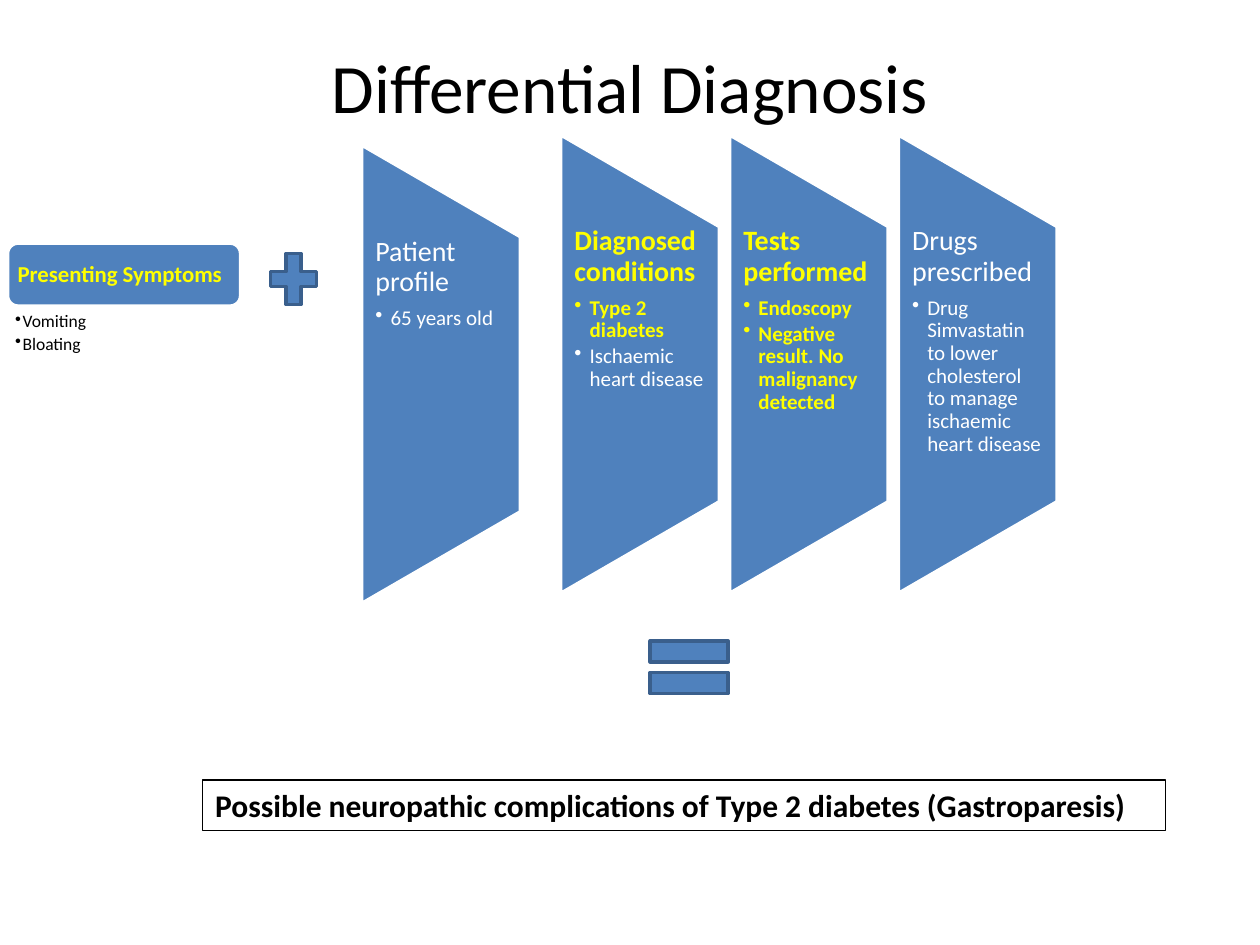
"""Build the differential diagnosis slide."""
from lxml import etree
from pptx import Presentation
from pptx import util as u
from pptx.dml.color import RGBColor
from pptx.enum import shapes, text
from pptx.oxml import ns

BLUE = RGBColor(0x4F, 0x81, 0xBD)
NAVY = RGBColor(0x3A, 0x5F, 0x8C)
GOLD = RGBColor(0xFF, 0xFF, 0x00)
WHITE = RGBColor(0xFF, 0xFF, 0xFF)
BLACK = RGBColor(0, 0, 0)

HOT = {"bold": True, "color": GOLD}
COOL = {"bold": False, "color": WHITE}
DARK = {"bold": False, "color": BLACK}
PANELS = [
    (2.87, 2.97, [("Patient profile", COOL), ("65 years old", COOL)]),
    (4.45, 2.89, [("Diagnosed conditions", HOT), ("Type 2 diabetes", HOT),
                  ("Ischaemic heart disease", COOL)]),
    (5.79, 2.89, [("Tests performed", HOT), ("Endoscopy", HOT),
                  ("Negative result. No malignancy detected", HOT)]),
    (7.13, 2.89, [("Drugs prescribed", COOL),
                  ("Drug Simvastatin to lower cholesterol to manage "
                   "ischaemic heart disease", COOL)]),
]
SIGNS = [("MATH_PLUS", (2.08, 1.94, 0.5, 0.55)),
         ("MATH_EQUAL", (5.05, 4.94, 0.84, 0.71))]
WIDE, TALL, DEEP = 1.26, 3.64, 2.18

HEAD = {"line_spacing": 0.9, "space_after": u.Pt(5.6)}
ITEM = {"line_spacing": 0.9, "space_after": u.Pt(1.8)}
NOTE = {"line_spacing": 0.9, "space_after": u.Pt(2)}
MID = {"vertical_anchor": text.MSO_ANCHOR.MIDDLE}

deck = Presentation()
deck.slide_width, deck.slide_height = u.Inches(10), u.Inches(7.5)
slide = deck.slides.add_slide(deck.slide_layouts[6])


def assign(obj, form):
    for key, val in form.items():
        setattr(obj, key, val)


def draw(kind, box, edge=WHITE, wide=2, fill=BLUE):
    shape = slide.shapes.add_shape(
        getattr(shapes.MSO_SHAPE, kind), *map(u.Inches, box))
    shape.shadow.inherit = False
    if fill is None:
        shape.fill.background()
    else:
        shape.fill.solid()
        shape.fill.fore_color.rgb = fill
    shape.line.color.rgb = edge
    shape.line.width = u.Pt(wide)
    return shape


def frame(box, pads, form):
    body = slide.shapes.add_textbox(*map(u.Inches, box)).text_frame
    sides = ("margin_left", "margin_top", "margin_right", "margin_bottom")
    assign(body, {"word_wrap": True, **form})
    assign(body, dict(zip(sides, map(u.Inches, pads))))
    return body


def write(body, words, size, look, form, dent=0):
    para = body.paragraphs[0]
    if para.runs:
        para = body.add_paragraph()
    assign(para, form)
    run = para.add_run()
    run.text = words
    assign(run.font, {"name": "Calibri", "size": u.Pt(size),
                      "bold": look["bold"]})
    run.font.color.rgb = look["color"]
    if dent:
        para.level = 1
        prop = para._p.get_or_add_pPr()
        prop.set("marL", str(u.Inches(dent)))
        prop.set("indent", str(-u.Inches(dent)))
        etree.SubElement(prop, ns.qn("a:buChar")).set("char", "•")


title = frame((0.5, 0.3, 9, 0.77), (0.1, 0.05, 0.1, 0.05), MID)
write(title, "Differential Diagnosis", 39.6, DARK,
      {"alignment": text.PP_ALIGN.CENTER})

for left, mid, lines in PANELS:
    panel = draw("FLOWCHART_MANUAL_OPERATION",
                 (left + (WIDE - TALL) / 2, mid - WIDE / 2, TALL, WIDE))
    panel.rotation = 270
    body = frame((left, mid - DEEP / 2, WIDE, DEEP), (0.11, 0, 0.11, 0), {})
    write(body, lines[0][0], 16, lines[0][1], HEAD)
    for words, look in lines[1:]:
        write(body, words, 12, look, ITEM, 0.12)

draw("ROUNDED_RECTANGLE", (0.06, 1.93, 1.85, 0.5))
label = frame((0.09, 1.96, 1.8, 0.45), (0.05,) * 4, MID)
write(label, "Presenting Symptoms", 13, HOT, HEAD)
signs = frame((0.06, 2.46, 1.85, 0.72), (0.06, 0.02, 0.1, 0.02), {})
for words in ("Vomiting", "Bloating"):
    write(signs, words, 10, DARK, NOTE, 0.06)

for kind, box in SIGNS:
    draw(kind, box, NAVY)

result = draw("RECTANGLE", (1.61, 6.19, 7.64, 0.4), BLACK, 0.75, None).text_frame
assign(result, {"word_wrap": True, **MID})
write(result, "Possible neuropathic complications of Type 2 diabetes (Gastroparesis)",
      18, {"bold": True, "color": BLACK}, {"alignment": text.PP_ALIGN.LEFT})

deck.save("out.pptx")
